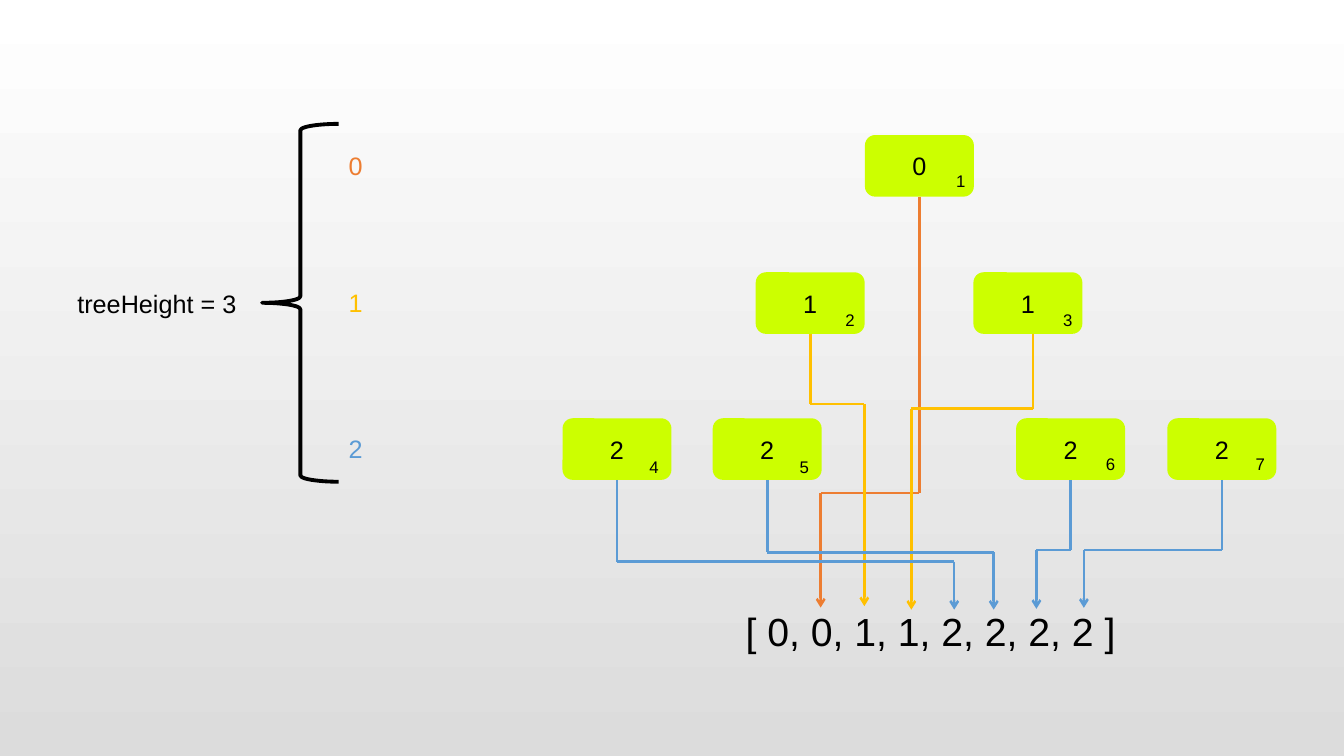
from collections import namedtuple
from itertools import pairwise

from lxml import etree
from pptx import Presentation
from pptx.dml.color import RGBColor
from pptx.enum.shapes import MSO_CONNECTOR, MSO_SHAPE
from pptx.enum.text import MSO_ANCHOR, MSO_AUTO_SIZE, PP_ALIGN
from pptx.oxml.ns import qn
from pptx.util import Pt

BLACK = RGBColor(0x00, 0x00, 0x00)
WHITE = RGBColor(0xFF, 0xFF, 0xFF)
GREY = RGBColor(0xDC, 0xDC, 0xDC)
LIME = RGBColor(0xCC, 0xFF, 0x00)
ORANGE = RGBColor(0xED, 0x7D, 0x31)
GOLD = RGBColor(0xFF, 0xC0, 0x00)
BLUE = RGBColor(0x5B, 0x9B, 0xD5)

LEVEL_COLORS = (ORANGE, GOLD, BLUE)
LEVEL_TOPS = (0, 98, 202.3)
NODE_W, NODE_H = 77.8, 44

Node = namedtuple("Node", "level x tag_dx tag_dy wire_dx bend tip_x tip_y")
NODES = (
    Node(0, 216, 58, 22, 39, 255.5, 184.4, 337.5),
    Node(1, 138, 57, 23, 39, 192, 215.6, 336.5),
    Node(1, 293.5, 57, 23, 42.6, 195.3, 249.2, 339),
    Node(2, 0, 55, 24, 39, 304.7, 279.8, 339),
    Node(2, 107.3, 55, 24, 39, 298, 308, 339),
    Node(2, 324, 57, 22, 39, 296.5, 338.5, 338.4),
    Node(2, 432, 56, 22, 39, 296.3, 372.4, 337.7),
)


def write(tf, text, size, color, align=PP_ALIGN.LEFT):
    """Put one formatted run into a text frame."""
    p = tf.paragraphs[0]
    p.alignment = align
    r = p.add_run()
    r.text = text
    for name, value in {"size": Pt(size), "name": "Arial"}.items():
        setattr(r.font, name, value)
    r.font.color.rgb = color


def add_text(s, text, x, y, w, h, size, color=BLACK):
    """Add a wrapping text box."""
    tf = s.shapes.add_textbox(Pt(x), Pt(y), Pt(w), Pt(h)).text_frame
    for name, value in {"word_wrap": True,
                        "auto_size": MSO_AUTO_SIZE.SHAPE_TO_FIT_TEXT}.items():
        setattr(tf, name, value)
    write(tf, text, size, color)


def add_node(s, text, x, y):
    """Add one rounded tree node."""
    sp = s.shapes.add_shape(MSO_SHAPE.ROUNDED_RECTANGLE,
                            Pt(x), Pt(y), Pt(NODE_W), Pt(NODE_H))
    sp.shadow.inherit = False
    sp.fill.solid()
    sp.fill.fore_color.rgb = LIME
    sp.line.fill.background()
    sp.text_frame.vertical_anchor = MSO_ANCHOR.MIDDLE
    write(sp.text_frame, text, 18, BLACK, PP_ALIGN.CENTER)


def add_wire(s, points, color):
    """Add a grouped chain of lines with an arrow on the last one."""
    group = s.shapes.add_group_shape()
    for start, end in pairwise(points):
        line = group.shapes.add_connector(
            MSO_CONNECTOR.STRAIGHT, *(Pt(v) for v in start + end))
        line.line.color.rgb = color
        line.line.width = Pt(1.75)
        spPr = line._element.spPr
        etree.SubElement(spPr, qn("a:effectLst"))
    etree.SubElement(spPr.find(qn("a:ln")), qn("a:tailEnd"), type="arrow")


def add_tree(s, x, y):
    """Draw the numbered nodes, then their wires down to the array."""
    for number, n in enumerate(NODES, 1):
        left, top = x + n.x, y + LEVEL_TOPS[n.level]
        add_node(s, str(n.level), left, top)
        add_text(s, str(number), left + n.tag_dx, top + n.tag_dy, 36, 21.6, 12)
    for n in NODES:
        start, tip, bend = x + n.x + n.wire_dx, x + n.tip_x, y + n.bend
        bottom = y + LEVEL_TOPS[n.level] + NODE_H
        add_wire(s, ((start, bottom), (start, bend), (tip, bend),
                     (tip, y + n.tip_y)), LEVEL_COLORS[n.level])


def add_height_scale(s, x, y):
    """Draw the height label, brace and level numbers."""
    add_text(s, "treeHeight = 3", x, y + 113.8, 203, 29, 18)
    sp = s.shapes.add_shape(MSO_SHAPE.LEFT_BRACE,
                            Pt(x + 139), Pt(y), Pt(54.7), Pt(255.6))
    sp.shadow.inherit = False
    sp.fill.background()
    sp.line.color.rgb = BLACK
    sp.line.width = Pt(2.75)
    for level, (top, color) in enumerate(zip(LEVEL_TOPS, LEVEL_COLORS)):
        add_text(s, str(level), x + 193.7, y + 15.3 + top, 36, 29, 18, color)


def set_background(s):
    """Fill the slide with a white to grey gradient."""
    fill = s.background.fill
    fill.gradient()
    fill.gradient_angle = 270
    for stop, position, color in zip(fill.gradient_stops, (0, 1), (WHITE, GREY)):
        stop.position = position
        stop.color.rgb = color


def main():
    """Build and save the slide."""
    prs = Presentation()
    prs.slide_width, prs.slide_height = Pt(960), Pt(540)
    s = prs.slides.add_slide(prs.slide_layouts[6])
    set_background(s)
    add_height_scale(s, 48.2, 88.5)
    add_tree(s, 401.8, 96.5)
    add_text(s, "[ 0, 0, 1, 1, 2, 2, 2, 2 ]", 525.6, 430.6, 324, 41, 28)
    prs.save("out.pptx")


if __name__ == "__main__":
    main()
